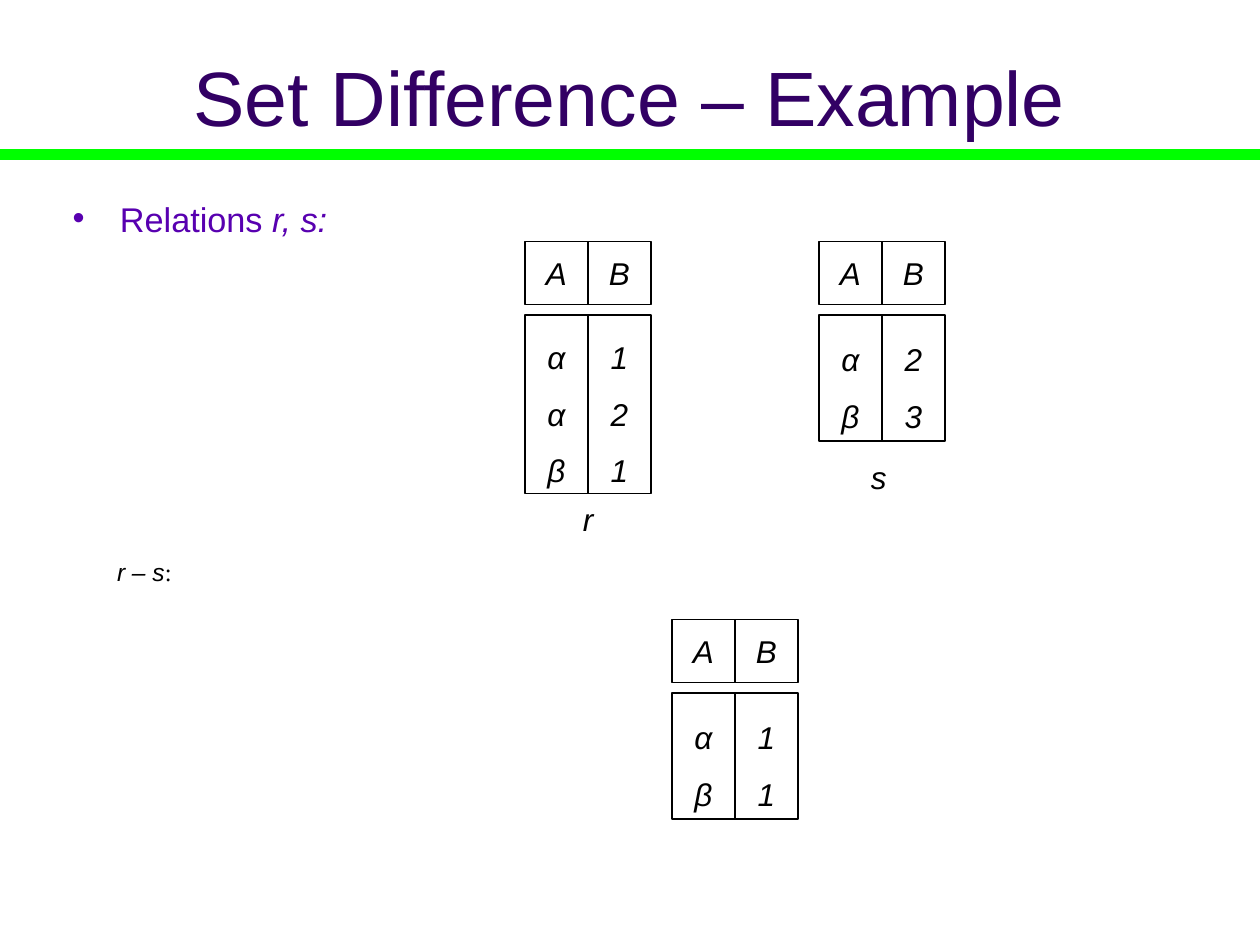
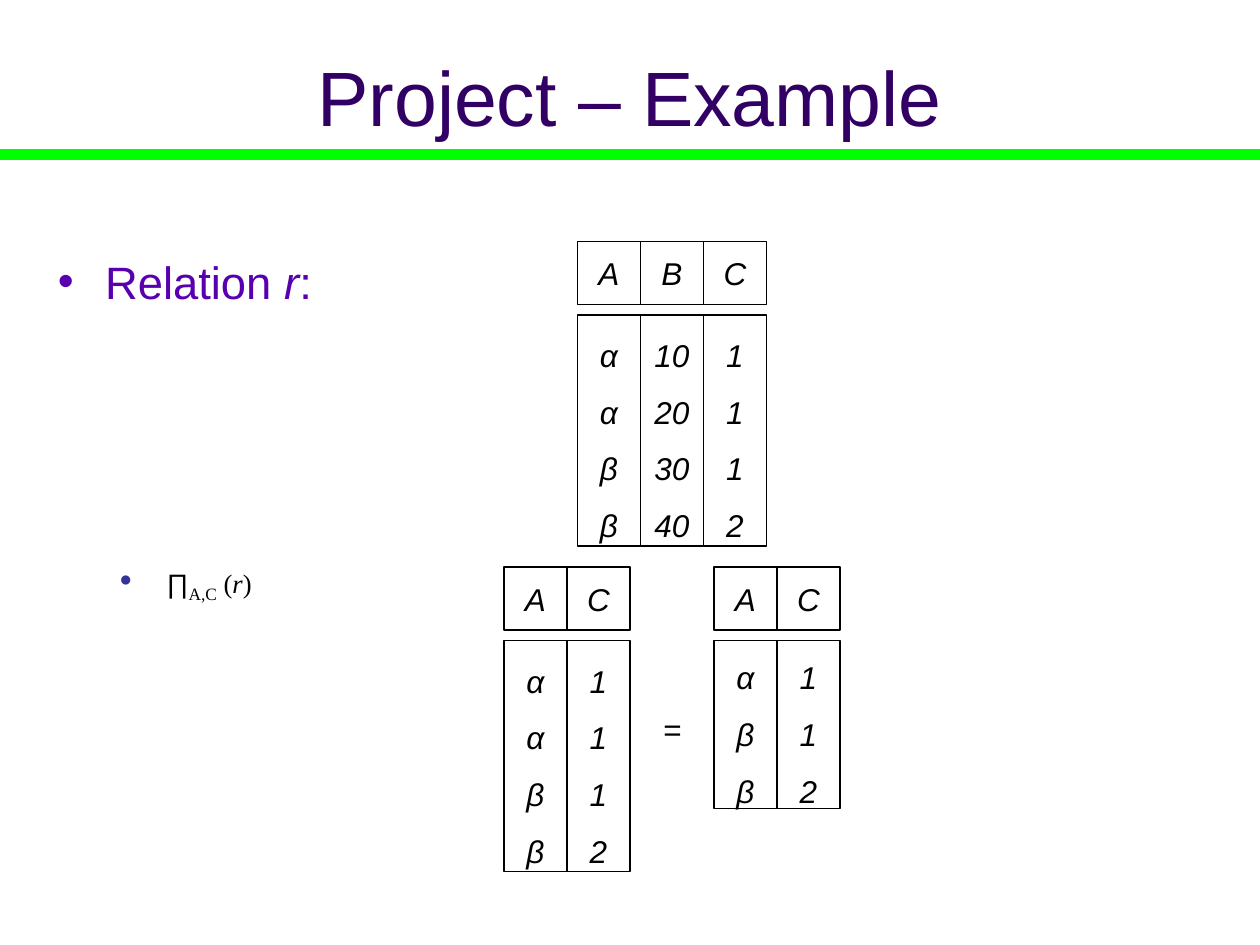
import pptx
import pptx.util
import pptx.dml.color
import pptx.enum.shapes
import pptx.enum.text
import pptx.oxml
import pptx.oxml.ns

Pt = pptx.util.Pt
RGBColor = pptx.dml.color.RGBColor
ALIGN = pptx.enum.text.PP_ALIGN
ANCHOR = pptx.enum.text.MSO_ANCHOR

BLACK = RGBColor(0, 0, 0)
WHITE = RGBColor(255, 255, 255)
GREEN = RGBColor(0, 255, 0)
TITLE_PURPLE = RGBColor(0x32, 0, 0x64)
BODY_PURPLE = RGBColor(0x58, 0, 0xB0)
BULLET_BLUE = RGBColor(0x33, 0x33, 0x99)

SANS = "Arial"
SERIF = "Times New Roman"
CELL = 36
HEADER_STEP = 42


def add_bullet(p, char, color, percent):
    pPr = p._p.get_or_add_pPr()
    pPr.set("marL", str(Pt(27)))
    pPr.set("indent", str(-Pt(27)))
    ns = pptx.oxml.ns.nsdecls("a")
    for xml in (
        f'<a:buClr {ns}><a:srgbClr val="{color}"/></a:buClr>',
        f'<a:buSzPct {ns} val="{percent * 1000}"/>',
        f'<a:buFont {ns} typeface="{SANS}"/>',
        f'<a:buChar {ns} char="{char}"/>',
    ):
        pPr.append(pptx.oxml.parse_xml(xml))


def put_text(sp, paragraphs, size=18, color=BLACK, font=SANS, italic=False, align=ALIGN.LEFT,
             anchor=ANCHOR.TOP, spacing=None, wrap=True, bullet=None):
    tf = sp.text_frame
    tf.word_wrap = wrap
    tf.vertical_anchor = anchor
    for i, runs in enumerate(paragraphs):
        p = tf.add_paragraph() if i else tf.paragraphs[0]
        if bullet:
            add_bullet(p, *bullet)
        p.alignment = align
        if spacing:
            p.line_spacing = spacing
        for text, own in runs:
            r = p.add_run()
            r.text = text
            r.font.size = Pt(own.get("size", size))
            r.font.name = own.get("font", font)
            r.font.italic = own.get("italic", italic)
            r.font.color.rgb = color
            if "baseline" in own:
                r.font._element.set("baseline", str(own["baseline"] * 1000))


def add_text(s, box, *runs, **fmt):
    sp = s.shapes.add_textbox(*map(Pt, box))
    put_text(sp, [runs], **fmt)


def add_label(s, box, text, italic=True):
    add_text(s, box, (text, {}), italic=italic, align=ALIGN.CENTER, anchor=ANCHOR.MIDDLE, wrap=False)


def add_cell(s, box, lines, spacing=None):
    sp = s.shapes.add_shape(pptx.enum.shapes.MSO_SHAPE.RECTANGLE, *map(Pt, box))
    sp.shadow.inherit = False
    sp.fill.solid()
    sp.fill.fore_color.rgb = WHITE
    sp.line.color.rgb = BLACK
    sp.line.width = Pt(0.75)
    put_text(sp, [[(line, {})] for line in lines], italic=True, align=ALIGN.CENTER,
             anchor=ANCHOR.MIDDLE, spacing=spacing, wrap=False)


def add_relation(s, left, top, columns, height=None):
    for i, (name, values) in enumerate(columns.items()):
        x = left + i * CELL
        add_cell(s, (x, top, CELL, CELL), name)
        add_cell(s, (x, top + HEADER_STEP, CELL, height or 12 + 30 * len(values)), values, 1.5)


def add_titled_slide(prs, title):
    s = prs.slides.add_slide(prs.slide_layouts[6])
    band = s.shapes.add_connector(pptx.enum.shapes.MSO_CONNECTOR.STRAIGHT,
                                  0, Pt(88.5), prs.slide_width, Pt(88.5))
    band.line.color.rgb = GREEN
    band.line.width = Pt(6.25)
    band._element.spPr.append(
        pptx.oxml.parse_xml(f'<a:effectLst {pptx.oxml.ns.nsdecls("a")}/>'))
    add_text(s, (36, 9.5, 648, 90), (title, {}), size=44, color=TITLE_PURPLE,
             align=ALIGN.CENTER, anchor=ANCHOR.MIDDLE)
    return s


def add_heading(s, box, *runs, size):
    add_text(s, box, *runs, size=size, color=BODY_PURPLE, spacing=0.8,
             bullet=("•", BODY_PURPLE, 100))


def build_set_difference(prs):
    s = add_titled_slide(prs, "Set Difference – Example")
    add_heading(s, (34.5, 114, 618, 26), ("Relations ", {}), ("r, s:", {"italic": True}), size=19.6)
    add_text(s, (59.8, 318.2, 554, 26), ("r – s", {"italic": True}), (":", {"font": SERIF}),
             size=14, spacing=0.8)
    add_relation(s, 300, 138, {"A": "ααβ", "B": "121"})
    add_relation(s, 468, 138, {"A": "αβ", "B": "23"})
    add_label(s, (326, 282, 20, 29), "r")
    add_label(s, (490.5, 258, 23, 29), "s")
    add_relation(s, 384, 354, {"A": "αβ", "B": "11"})


def build_project(prs):
    s = add_titled_slide(prs, "Project – Example")
    add_heading(s, (26, 147.6, 618, 32), ("Relation", {}), (" r", {"italic": True}), (":", {}),
                size=25.9)
    add_relation(s, 330, 138, {"A": "ααββ", "B": ["10", "20", "30", "40"], "C": "1112"})
    add_relation(s, 288, 324, {"A": "ααββ", "C": "1112"})
    add_label(s, (372, 402, 24.5, 29), "=", italic=False)
    add_relation(s, 408, 324, {"A": "αββ", "C": "112"}, height=96)
    add_text(s, (61.2, 320.4, 554, 32), ("∏", {"font": SANS}),
             ("A,C", {"size": 17.1, "baseline": -25}), (" (", {}), ("r", {"italic": True}), (")", {}),
             size=15.2, font=SERIF, spacing=0.8, bullet=("●", BULLET_BLUE, 80))


def main():
    prs = pptx.Presentation()
    prs.slide_width = Pt(720)
    prs.slide_height = Pt(540)
    build_set_difference(prs)
    build_project(prs)
    prs.save("out.pptx")


if __name__ == "__main__":
    main()
